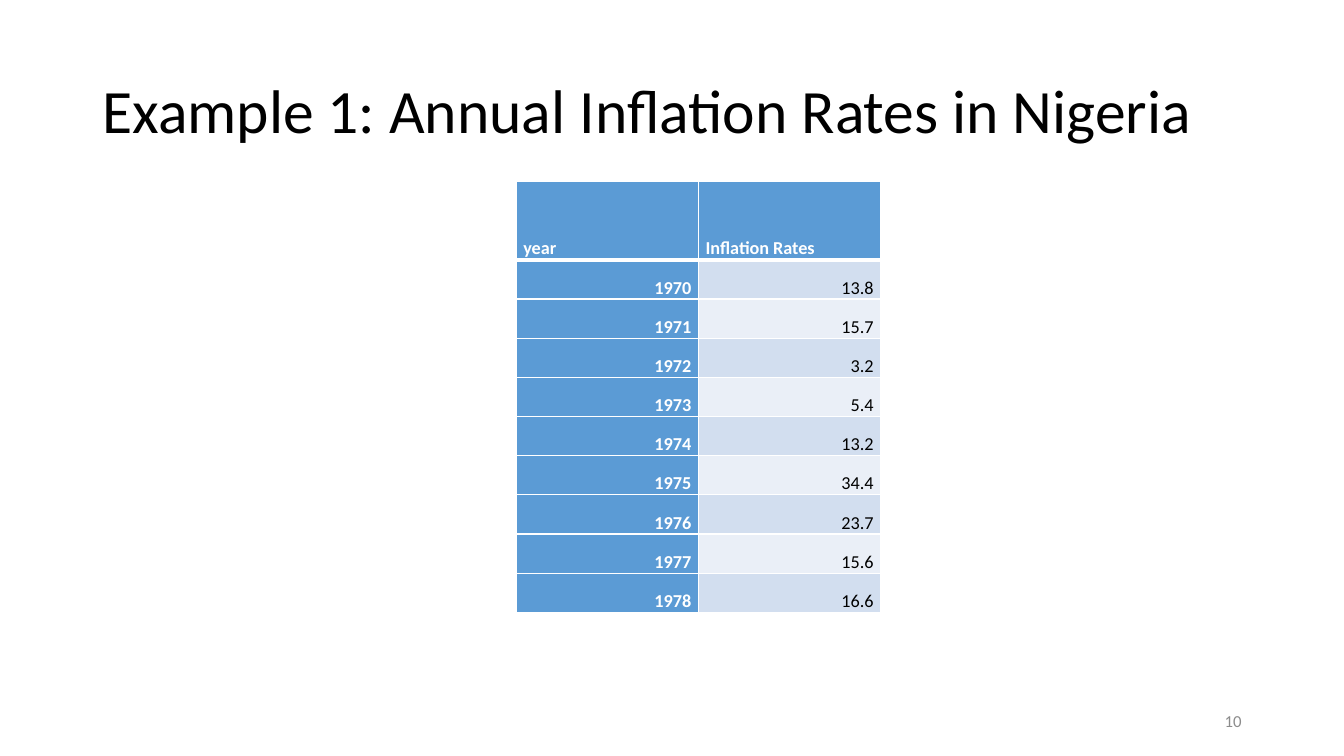
"""Build the slide on annual inflation rates in Nigeria."""
from dataclasses import dataclass

from lxml.etree import SubElement as Sub
from pptx import Presentation
from pptx.dml.color import RGBColor as Rgb
from pptx.enum.text import MSO_ANCHOR as Anchor, PP_ALIGN as Align
from pptx.oxml.ns import qn
from pptx.util import Pt

FONT = "Calibri"
HUES = {
    "ink": "000000",
    "paper": "FFFFFF",
    "head": "5B9BD5",
    "odd": "D2DEEF",
    "even": "EAEFF7",
    "page": "8C8C8C",
}
HEADS = ("year", "Inflation Rates")
START = 1970
RATES = (13.8, 15.7, 3.2, 5.4, 13.2, 34.4, 23.7, 15.6, 16.6)
LEFT, TOP, WIDE, HIGH = 368.6, 129.6, 130.3, 28.0


@dataclass(frozen=True)
class Entry:
    """Text and look of one table cell."""

    text: str
    fill: str
    align: Align = Align.RIGHT
    ink: str = "paper"
    bold: bool = True
    base: float = 1


def style(para, size: float, ink: str, align: Align, bold: bool = False) -> None:
    """Format a whole paragraph."""
    para.alignment = align
    para.font.name = FONT
    para.font.size = Pt(size)
    para.font.bold = bold
    para.font.color.rgb = Rgb.from_string(HUES[ink])


def edge(cell, base: float) -> None:
    """Draw white borders round a cell, with the given bottom width."""
    props = cell._tc.get_or_add_tcPr()
    for side, width in (("L", 1), ("R", 1), ("T", 1), ("B", base)):
        line = Sub(props, qn(f"a:ln{side}"), w=str(Pt(width)))
        Sub(Sub(line, qn("a:solidFill")), qn("a:srgbClr"), val=HUES["paper"])


def draw(cell, entry: Entry) -> None:
    """Fill one table cell."""
    edge(cell, entry.base)
    cell.fill.solid()
    cell.fill.fore_color.rgb = Rgb.from_string(HUES[entry.fill])
    cell.vertical_anchor = Anchor.BOTTOM
    cell.margin_left = cell.margin_right = Pt(5.2)
    cell.margin_top = cell.margin_bottom = 0
    cell.text = entry.text
    style(cell.text_frame.paragraphs[0], 13, entry.ink, entry.align, entry.bold)


def add_title(slide) -> None:
    """Place and format the title."""
    title = slide.shapes.title
    title.left, title.top, title.width, title.height = map(Pt, (66, 28.8, 828, 104.4))
    title.text_frame.text = "Example 1: Annual Inflation Rates in Nigeria"
    title.text_frame.vertical_anchor = Anchor.MIDDLE
    para = title.text_frame.paragraphs[0]
    para.line_spacing = 0.9
    style(para, 44, "ink", Align.LEFT)


def add_rates(slide) -> None:
    """Add the table of rates by year."""
    rows = [[Entry(head, "head", Align.LEFT, base=3) for head in HEADS]]
    for step, rate in enumerate(RATES):
        band = "even" if step % 2 else "odd"
        rows.append([
            Entry(str(START + step), "head", base=1),
            Entry(str(rate), band, ink="ink", bold=False),
        ])
    size = Pt(WIDE * len(HEADS)), Pt(HIGH * (len(rows) + 1))
    table = slide.shapes.add_table(len(rows), len(HEADS), Pt(LEFT), Pt(TOP), *size).table
    for col in table.columns:
        col.width = Pt(WIDE)
    for index, row in enumerate(rows):
        table.rows[index].height = Pt(HIGH if index else 2 * HIGH)
        for place, entry in enumerate(row):
            draw(table.cell(index, place), entry)


def add_page(slide) -> None:
    """Add the page number."""
    box = slide.shapes.add_textbox(*map(Pt, (678, 500.4, 216, 28.8)))
    frame = box.text_frame
    frame.word_wrap = True
    frame.vertical_anchor = Anchor.MIDDLE
    frame.text = "10"
    style(frame.paragraphs[0], 12, "page", Align.RIGHT)


def main() -> None:
    """Build and save the deck."""
    deck = Presentation()
    deck.slide_width, deck.slide_height = Pt(960), Pt(540)
    slide = deck.slides.add_slide(deck.slide_layouts[5])
    add_title(slide)
    add_rates(slide)
    add_page(slide)
    deck.save("out.pptx")


if __name__ == "__main__":
    main()
